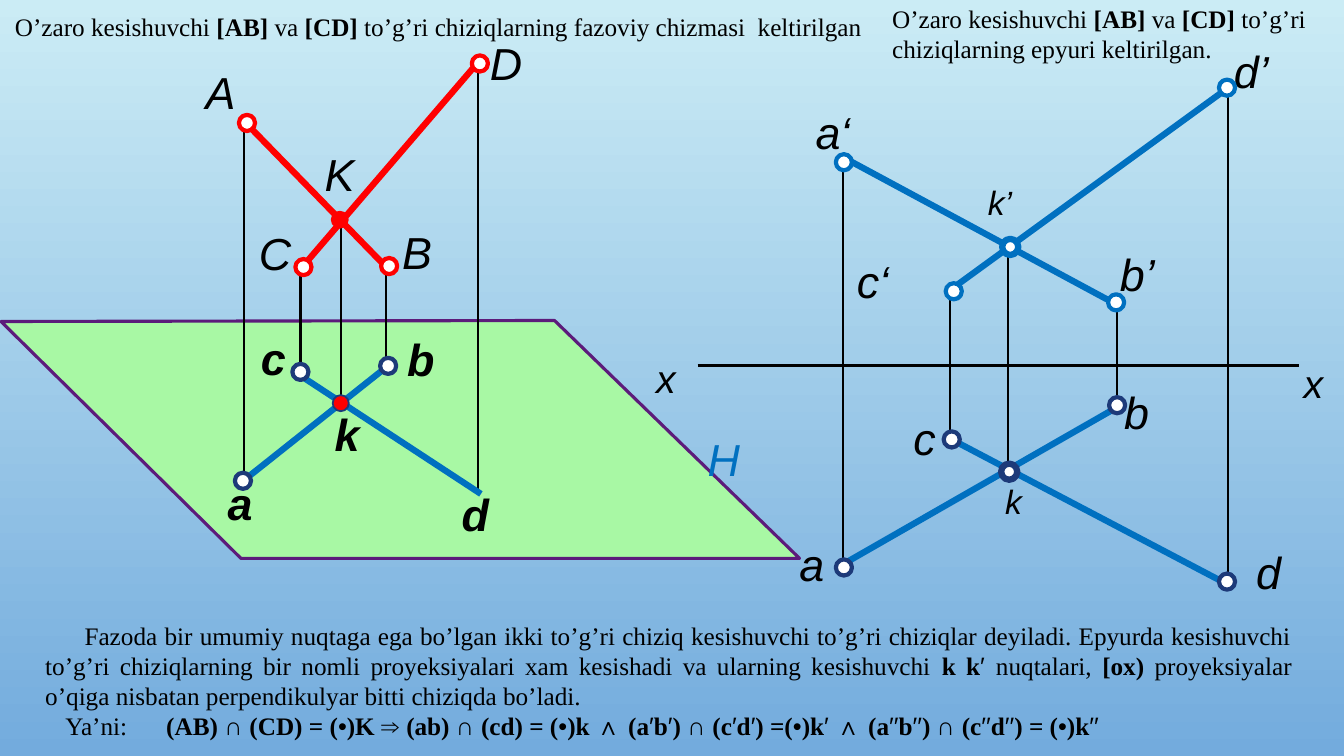
import dataclasses
import typing

import lxml.etree
import pptx
import pptx.dml.color
import pptx.enum.shapes
import pptx.enum.text
import pptx.oxml.ns
import pptx.util

COLORS = {
    "sky_top": "CBECF5",
    "sky_bottom": "73ABDD",
    "black": "000000",
    "white": "FFFFFF",
    "red": "FF0000",
    "blue": "0070C0",
    "navy": "1D3A79",
    "plane": "A8F8A4",
    "purple": "5C1B7B",
}
SERIF = "Times New Roman"
SANS = "Arial"
SYMBOLS = "′∩•⇒∧"
POINT_SIZE = 0.16
LABEL_HEIGHTS = {32: 0.64, 28: 0.57, 24: 0.5}


@dataclasses.dataclass(frozen=True)
class Segment:
    start: tuple[float, float]
    end: tuple[float, float]
    color: str = "black"
    weight: float = 1.5


@dataclasses.dataclass(frozen=True)
class Point:
    left: float
    top: float
    outline: str
    fill: str = "white"
    weight: float = 3


@dataclasses.dataclass(frozen=True)
class Label:
    text: str
    left: float
    top: float
    width: float = 0.62
    bold: bool = False
    size: int = 32
    color: str = "black"


@dataclasses.dataclass(frozen=True)
class Layout:
    margin: float = 0
    indent: float = 0
    right: float = 0
    tab: float = 0
    justified: bool = False


PLANE = [(0.01, 3.19), (5.5, 3.18), (7.93, 5.54), (2.39, 5.54)]

SEGMENTS = [
    Segment((2.42, 4.78), (2.42, 1.17)),
    Segment((2.4, 4.78), (3.86, 3.62), "blue", 4.5),
    Segment((4.74, 4.87), (4.74, 0.58)),
    Segment((3.83, 3.6), (3.83, 2.62)),
    Segment((2.98, 3.74), (2.98, 2.63)),
    Segment((2.98, 2.67), (4.74, 0.62), "red", 4.5),
    Segment((3.85, 2.67), (2.4, 1.18), "red", 4.5),
    Segment((3.38, 4.06), (3.38, 2.13)),
    Segment((2.97, 3.72), (4.77, 4.9), "blue", 4.5),
    Segment((8.36, 5.63), (8.36, 1.57)),
    Segment((8.38, 1.57), (11.11, 3.04), "blue", 4.5),
    Segment((6.92, 3.63), (12.88, 3.63), "black", 2.25),
    Segment((12.21, 0.85), (9.42, 2.88), "blue", 4.5),
    Segment((8.34, 5.61), (11.08, 4.04), "blue", 4.5),
    Segment((9.42, 4.35), (12.18, 5.8), "blue", 4.5),
    Segment((9.42, 4.35), (9.42, 2.85)),
    Segment((12.18, 5.8), (12.18, 0.85)),
    Segment((11.08, 4.04), (11.08, 3.01)),
    Segment((10, 4.65), (10, 2.44)),
]

LABELS = [
    Label("A", 1.94, 0.59, 0.48),
    Label("B", 3.89, 2.18, 0.5),
    Label("С", 2.47, 2.19, 0.55),
    Label("D", 4.76, 0.31, 0.55),
    Label("K", 3.12, 1.41),
    Label("H", 6.92, 4.23, 0.89, color="blue"),
    Label("a", 2.16, 4.67, bold=True),
    Label("b", 3.94, 3.24, bold=True),
    Label("c", 2.49, 3.23, bold=True),
    Label("d", 4.48, 4.78, bold=True),
    Label("k", 3.22, 3.99, bold=True),
    Label("a‘", 7.99, 0.99),
    Label("b’", 11.01, 2.4),
    Label("c‘", 8.4, 2.47, 0.74),
    Label("d’", 12.14, 0.38, 0.74),
    Label("k’", 9.7, 1.76, size=24),
    Label("a", 7.83, 5.28),
    Label("b", 11.05, 3.77),
    Label("с", 8.96, 4.03),
    Label("d", 12.36, 5.36),
    Label("k", 9.87, 4.72, size=24),
    Label("x", 6.41, 3.47, 0.48, size=28),
    Label("x", 12.83, 3.52, 0.48, size=28),
]

POINTS = [
    Point(3.3, 3.92, "navy", "red", 1.25),
    Point(3.29, 2.1, "red", "red", 1.25),
    Point(2.37, 1.14, "red"),
    Point(2.33, 4.69, "navy"),
    Point(3.78, 2.56, "red"),
    Point(2.93, 2.57, "red"),
    Point(2.9, 3.61, "navy"),
    Point(4.68, 0.55, "red"),
    Point(3.77, 3.55, "navy"),
    Point(9.93, 4.6, "navy", weight=4.5),
    Point(9.94, 2.37, "blue", weight=4.5),
    Point(8.29, 1.53, "blue"),
    Point(12.09, 5.69, "navy"),
    Point(9.38, 2.81, "blue"),
    Point(10.99, 2.92, "blue"),
    Point(11, 3.94, "navy"),
    Point(12.09, 0.79, "blue"),
    Point(9.36, 4.28, "navy"),
    Point(8.29, 5.55, "navy"),
]

SPATIAL_CAPTION = "O’zaro kesishuvchi *[AB] *va *[CD] *to’g’ri chiziqlarning fazoviy chizmasi  keltirilgan"
EPURE_CAPTION = "O’zaro kesishuvchi *[AB] *va *[CD] *to’g’ri chiziqlarning epyuri keltirilgan."
DEFINITION = (
    "Fazoda bir umumiy nuqtaga ega bo’lgan ikki to’g’ri chiziq kesishuvchi to’g’ri chiziqlar deyiladi. "
    "Epyurda kesishuvchi to’g’ri chiziqlarning bir nomli proyeksiyalari xam kesishadi va ularning "
    "kesishuvchi *k k*′ **nuqtalari, *[ox) *proyeksiyalar o’qiga nisbatan perpendikulyar bitti chiziqda bo’ladi."
)
FORMULA = (
    "Ya’ni:\t*(AB) *∩ *(CD) = (*•*)K *⇒ *(ab) *∩ *(cd) = (*•*)k *∧ *(a*′*b*′*) *∩ *(c*′*d*′*) =(*•*)k*′ ∧ "
    "*(a*′′*b*′′*) *∩ *(c*′′*d*′′*) = (*•*)k*′′"
)


def length(inches: float) -> pptx.util.Cm:
    return pptx.util.Cm(inches * 2.54)


def rgb(name: str) -> pptx.dml.color.RGBColor:
    return pptx.dml.color.RGBColor.from_string(COLORS[name])


def paint(shape: typing.Any, fill: str, outline: str, weight: float) -> None:
    shape.shadow.inherit = False
    shape.fill.solid()
    shape.fill.fore_color.rgb = rgb(fill)
    shape.line.color.rgb = rgb(outline)
    shape.line.width = pptx.util.Pt(weight)


def format_paragraph(paragraph: typing.Any, layout: Layout) -> None:
    properties = paragraph._p.get_or_add_pPr()
    for name, value in (("marL", layout.margin), ("marR", layout.right), ("indent", layout.indent)):
        properties.set(name, str(int(length(value))))
    if layout.justified:
        paragraph.alignment = pptx.enum.text.PP_ALIGN.JUSTIFY
    if layout.tab:
        tabs = lxml.etree.SubElement(properties, pptx.oxml.ns.qn("a:tabLst"))
        lxml.etree.SubElement(tabs, pptx.oxml.ns.qn("a:tab"), pos=str(int(length(layout.tab))), algn="l")


def add_text(slide: typing.Any, text: str, *, left: float, top: float, width: float, height: float,
             size: int = 18, font: str = SERIF, color: str = "black", bold: bool = False,
             italic: bool = False, layouts: tuple[Layout, ...] = (Layout(),)) -> None:
    box = slide.shapes.add_textbox(length(left), length(top), length(width), length(height))
    frame = box.text_frame
    frame.word_wrap = True
    frame.auto_size = pptx.enum.text.MSO_AUTO_SIZE.SHAPE_TO_FIT_TEXT
    frame.text = "\n" * (len(layouts) - 1)
    for paragraph, line, layout in zip(frame.paragraphs, text.split("\n"), layouts):
        format_paragraph(paragraph, layout)
        for index, piece in enumerate(line.split("*")):
            if not piece:
                continue
            run = paragraph.add_run()
            run.text = piece
            run.font.name = SANS if piece[0] in SYMBOLS else font
            run.font.size = pptx.util.Pt(size)
            run.font.bold = bold or index % 2 == 1
            run.font.italic = italic
            run.font.color.rgb = rgb(color)


def add_segment(slide: typing.Any, segment: Segment) -> None:
    ends = [length(value) for value in segment.start + segment.end]
    connector = slide.shapes.add_connector(pptx.enum.shapes.MSO_CONNECTOR.STRAIGHT, *ends)
    connector.line.color.rgb = rgb(segment.color)
    connector.line.width = pptx.util.Pt(segment.weight)
    lxml.etree.SubElement(connector._element.spPr, pptx.oxml.ns.qn("a:effectLst"))


def add_point(slide: typing.Any, point: Point) -> None:
    size = length(POINT_SIZE)
    shape = slide.shapes.add_shape(
        pptx.enum.shapes.MSO_SHAPE.OVAL, length(point.left), length(point.top), size, size)
    paint(shape, point.fill, point.outline, point.weight)


def add_plane(slide: typing.Any) -> None:
    corners = [(length(x), length(y)) for x, y in PLANE]
    builder = slide.shapes.build_freeform(*corners[0])
    builder.add_line_segments(corners[1:], close=True)
    paint(builder.convert_to_shape(), "plane", "purple", 2.25)


def add_background(slide: typing.Any) -> None:
    fill = slide.background.fill
    fill.gradient()
    fill.gradient_angle = 270
    for stop, name, position in zip(fill.gradient_stops, ("sky_top", "sky_bottom"), (0, 1)):
        stop.color.rgb = rgb(name)
        stop.position = position


def main() -> None:
    presentation = pptx.Presentation()
    presentation.slide_width = length(13.33)
    presentation.slide_height = length(7.5)
    slide = presentation.slides.add_slide(presentation.slide_layouts[6])
    add_background(slide)
    add_text(slide, SPATIAL_CAPTION, left=0.05, top=0.06, width=8.7, height=0.4)
    add_text(slide, EPURE_CAPTION, left=8.75, top=-0.02, width=4.55, height=0.71)
    add_text(slide, DEFINITION + "\n" + FORMULA, left=0.05, top=6.1, width=13.09, height=1.31,
             layouts=(Layout(0.3, 0.39, 0.23, justified=True), Layout(0.5, tab=1.49)))
    add_plane(slide)
    for segment in SEGMENTS:
        add_segment(slide, segment)
    for label in LABELS:
        add_text(slide, label.text, left=label.left, top=label.top, width=label.width,
                 height=LABEL_HEIGHTS[label.size], size=label.size, font=SANS,
                 color=label.color, bold=label.bold, italic=True)
    for point in POINTS:
        add_point(slide, point)
    presentation.save("out.pptx")


if __name__ == "__main__":
    main()
